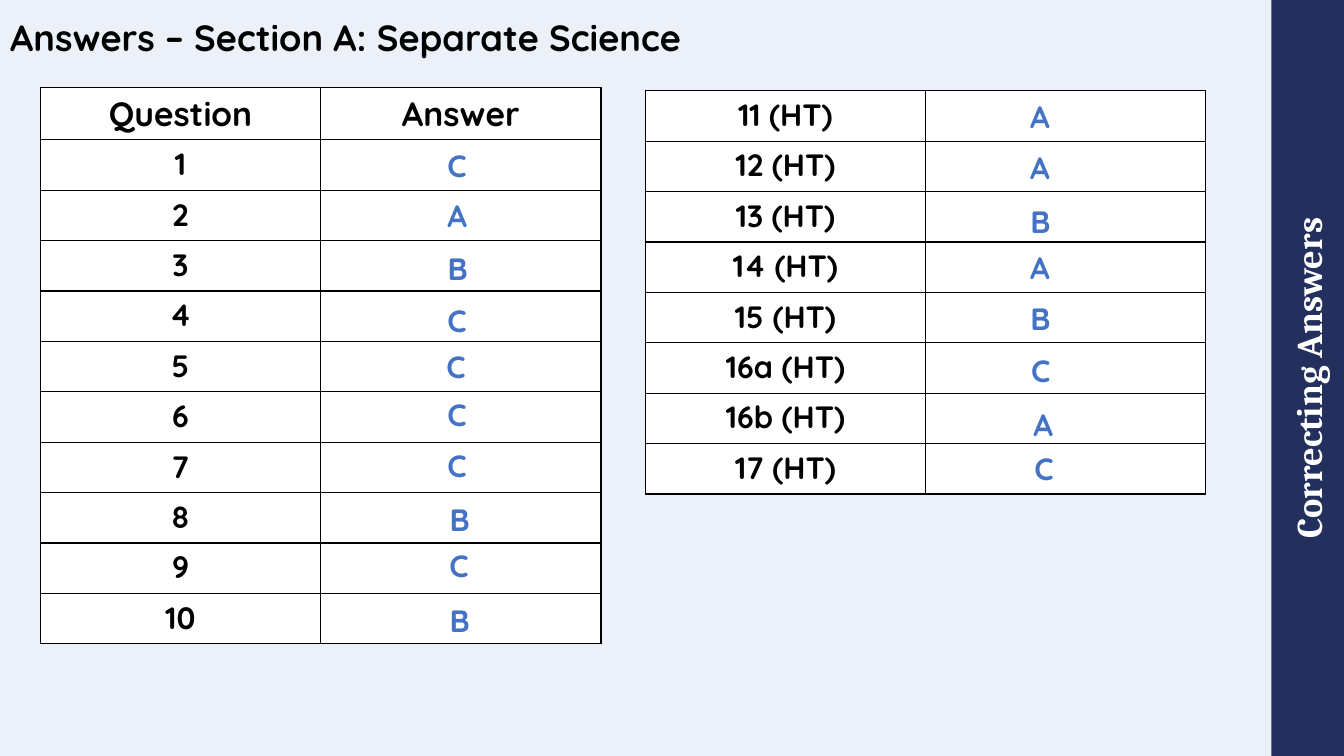
"""Build the answer slide for Section A: Separate Science."""
from lxml.etree import SubElement
from pptx import Presentation
from pptx.dml.color import RGBColor
from pptx.enum.shapes import MSO_SHAPE as Shape
from pptx.enum.text import MSO_ANCHOR as Anchor, MSO_AUTO_SIZE as AutoSize, PP_ALIGN as Align
from pptx.oxml import parse_xml
from pptx.oxml.ns import nsdecls
from pptx.util import Inches, Pt

BLACK = RGBColor(0x00, 0x00, 0x00)
WHITE = RGBColor(0xFF, 0xFF, 0xFF)
NAVY = RGBColor(0x23, 0x2F, 0x5D)
BLUE = RGBColor(0x44, 0x72, 0xC4)
PALE_BLUE = RGBColor(0xEC, 0xF1, 0xF9)

SLIDE_WIDTH, SLIDE_HEIGHT = 13.33, 7.5
BAR_THICKNESS = 0.72
COLUMN_WIDTH, ROW_HEIGHT = 2.78, 0.5
LETTER_WIDTHS = {"A": 0.43, "B": 0.38, "C": 0.44}
LETTER_HEIGHT = 0.47

HEADING = {"name": "Quicksand", "size": Pt(26), "bold": True}
HEADER = {"name": "Quicksand", "size": Pt(24), "bold": True}
BODY = {"name": "Quicksand", "size": Pt(22), "bold": True}
SIDEBAR = {"name": "Cambria", "size": Pt(26), "bold": True}

TABLES = [
    (6.4, 0.9, [(f"{number} (HT)", "") for number in (11, 12, 13, 14, 15, "16a", "16b", 17)]),
    (0.4, 0.87, [("Question", "Answer")] + [(str(number), "") for number in range(1, 11)]),
]
ANSWERS = [
    ("C", 4.34, 1.41), ("A", 4.34, 1.9), ("B", 4.34, 2.43), ("C", 4.34, 2.94), ("C", 4.33, 3.4),
    ("C", 4.34, 3.88), ("C", 4.34, 4.38), ("B", 4.36, 4.92), ("C", 4.36, 5.37), ("B", 4.36, 5.92),
    ("A", 10.12, 0.92), ("A", 10.12, 1.43), ("B", 10.12, 1.96), ("A", 10.12, 2.42),
    ("B", 10.12, 2.92), ("C", 10.13, 3.44), ("A", 10.15, 3.98), ("C", 10.16, 4.41),
]


def write(text_frame, text, style, color, align):
    paragraph = text_frame.paragraphs[0]
    paragraph.alignment = align
    run = paragraph.add_run()
    run.text = text
    for name, value in style.items():
        setattr(run.font, name, value)
    run.font.color.rgb = color
    return paragraph


def format_cell(cell):
    properties = cell._tc.get_or_add_tcPr()
    for side in ("lnL", "lnR", "lnT", "lnB"):
        properties.append(parse_xml(
            f'<a:{side} {nsdecls("a")} w="{Pt(1)}"><a:solidFill>'
            f'<a:srgbClr val="{BLACK}"/></a:solidFill></a:{side}>'))
    cell.fill.solid()
    cell.fill.fore_color.rgb = WHITE


presentation = Presentation()
presentation.slide_width = Inches(SLIDE_WIDTH)
presentation.slide_height = Inches(SLIDE_HEIGHT)
slide = presentation.slides.add_slide(presentation.slide_layouts[5])
slide.background.fill.solid()
slide.background.fill.fore_color.rgb = PALE_BLUE

title = slide.shapes.title
title.left, title.top, title.width, title.height = map(Inches, (0, 0, 11.61, 0.79))
title.text_frame.vertical_anchor = Anchor.MIDDLE
title.text_frame.word_wrap = True
title.text_frame.auto_size = AutoSize.NONE
write(title.text_frame, "Answers – Section A: Separate Science", HEADING, BLACK, Align.LEFT).line_spacing = 0.9

bar_left = SLIDE_WIDTH - (BAR_THICKNESS + SLIDE_HEIGHT) / 2
bar_top = (SLIDE_HEIGHT - BAR_THICKNESS) / 2
bar = slide.shapes.add_shape(
    Shape.RECTANGLE, *map(Inches, (bar_left, bar_top, SLIDE_HEIGHT, BAR_THICKNESS)))
bar.rotation = 270
bar.shadow.inherit = False
bar.fill.solid()
bar.fill.fore_color.rgb = NAVY
bar.line.fill.background()
for side in ("left", "top", "right", "bottom"):
    setattr(bar.text_frame, f"margin_{side}", 0)
bar.text_frame.vertical_anchor = Anchor.MIDDLE
write(bar.text_frame, "Correcting Answers", SIDEBAR, WHITE, Align.CENTER)

for left, top, rows in TABLES:
    table = slide.shapes.add_table(
        len(rows), 2,
        *map(Inches, (left, top, 2 * COLUMN_WIDTH, len(rows) * ROW_HEIGHT))).table
    table.first_row = False
    table.horz_banding = False
    for row_index, row in enumerate(rows):
        for column_index, text in enumerate(row):
            cell = table.cell(row_index, column_index)
            format_cell(cell)
            if text:
                style = HEADER if row[1] else BODY
                write(cell.text_frame, text, style, BLACK, Align.CENTER)

for letter, left, top in ANSWERS:
    box = slide.shapes.add_textbox(
        *map(Inches, (left, top, LETTER_WIDTHS[letter], LETTER_HEIGHT)))
    box.text_frame.word_wrap = False
    box.text_frame.auto_size = AutoSize.SHAPE_TO_FIT_TEXT
    write(box.text_frame, letter, BODY, BLUE, Align.LEFT)

presentation.save("out.pptx")
